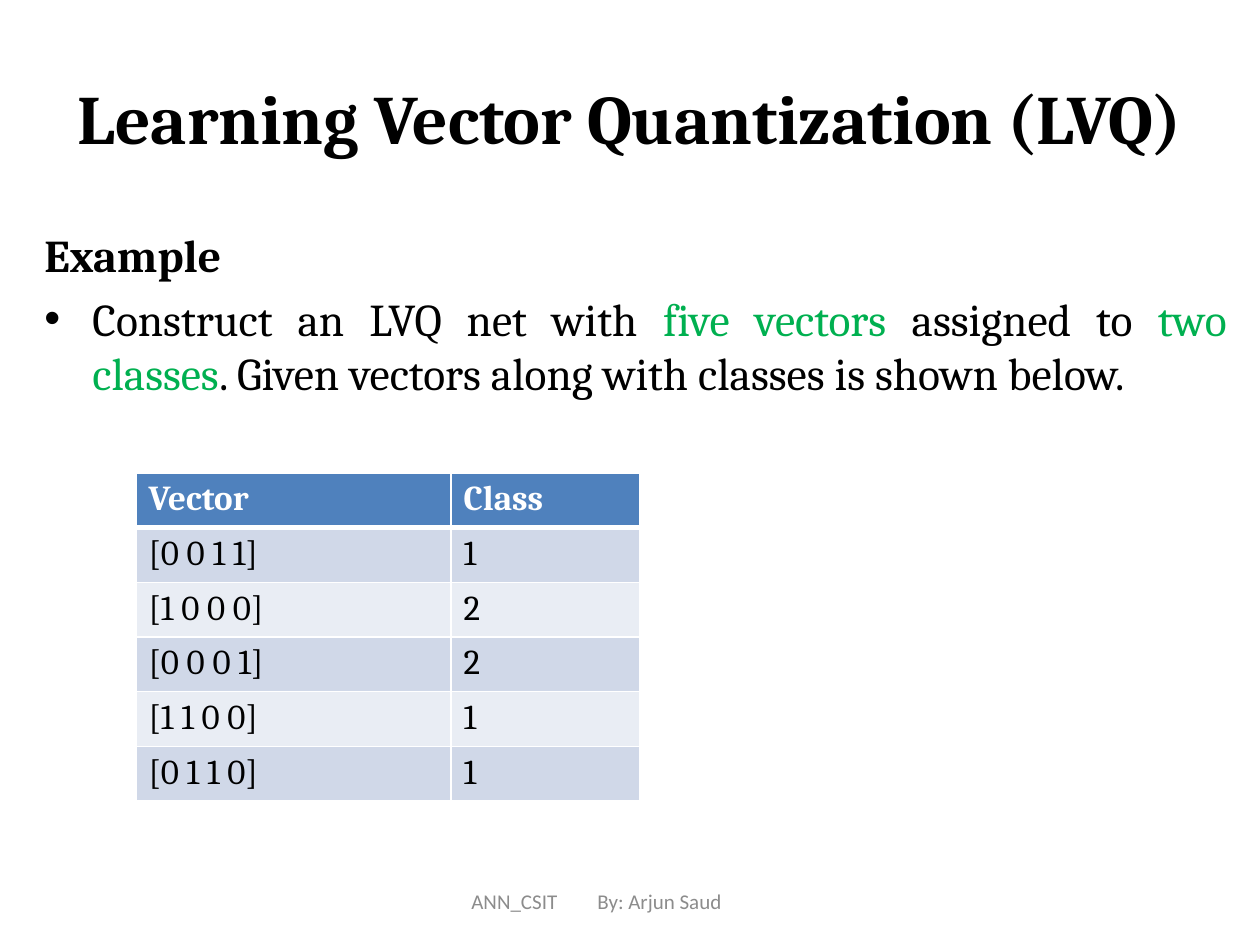
from lxml import etree
from pptx import Presentation
from pptx import util as u
from pptx.dml.color import RGBColor
from pptx.enum import text
from pptx.oxml.ns import qn

PX = 914400 // 126
BLACK = RGBColor(0x00, 0x00, 0x00)
WHITE = RGBColor(0xFF, 0xFF, 0xFF)
GREEN = RGBColor(0x00, 0xB0, 0x50)
GRAY = RGBColor(0x8C, 0x8C, 0x8C)
HEADER = RGBColor(0x4F, 0x81, 0xBD)
BANDS = (RGBColor(0xD0, 0xD8, 0xE8), RGBColor(0xE9, 0xED, 0xF4))

VECTORS = [("[0 0 1 1]", "1"), ("[1 0 0 0]", "2"), ("[0 0 0 1]", "2"),
           ("[1 1 0 0]", "1"), ("[0 1 1 0]", "1")]


def px(n):
    return u.Emu(n * PX)


def add_run(p, words, size, color=BLACK, bold=False, font="Cambria"):
    r = p.add_run()
    r.text = words
    r.font.name = font
    r.font.size = u.Pt(size)
    r.font.bold = bold
    r.font.color.rgb = color


def add_box(s, x, y, w, h, anchor=text.MSO_ANCHOR.TOP):
    tf = s.shapes.add_textbox(px(x), px(y), px(w), px(h)).text_frame
    tf.word_wrap = True
    tf.vertical_anchor = anchor
    return tf


def set_indent(p, margin, indent):
    pPr = p._p.get_or_add_pPr()
    pPr.set("marL", str(px(margin)))
    pPr.set("indent", str(px(indent)))
    return pPr


def add_bullet(p):
    pPr = set_indent(p, 48, -48)
    etree.SubElement(pPr, qn("a:buFont"), typeface="Arial")
    etree.SubElement(pPr, qn("a:buChar"), char="•")


def add_tab(p, position):
    tabs = etree.SubElement(p._p.get_or_add_pPr(), qn("a:tabLst"))
    etree.SubElement(tabs, qn("a:tab"), pos=str(px(position)), algn="l")


def set_borders(cell, bottom):
    tcPr = cell._tc.get_or_add_tcPr()
    for side, width in (("L", 1), ("R", 1), ("T", 1), ("B", bottom)):
        ln = etree.SubElement(tcPr, qn("a:ln" + side), w=str(u.Pt(width)))
        fill = etree.SubElement(ln, qn("a:solidFill"))
        etree.SubElement(fill, qn("a:srgbClr"), val=str(WHITE))


def fill_cell(cell, words, fill, color=BLACK, bold=False, bottom=1):
    set_borders(cell, bottom)
    cell.fill.solid()
    cell.fill.fore_color.rgb = fill
    add_run(cell.text_frame.paragraphs[0], words, 20, color, bold)


def add_vector_table(s, x, y, widths, row_height):
    rows = len(VECTORS) + 1
    table = s.shapes.add_table(rows, len(widths), px(x), px(y),
                               px(sum(widths)), px(row_height * rows)).table
    for column, width in zip(table.columns, widths):
        column.width = px(width)
    for row in table.rows:
        row.height = px(row_height)
    for j, words in enumerate(("Vector", "Class")):
        fill_cell(table.cell(0, j), words, HEADER, WHITE, True, bottom=3)
    for i, row in enumerate(VECTORS):
        for j, words in enumerate(row):
            fill_cell(table.cell(i + 1, j), words, BANDS[i % 2])


def add_title(s):
    p = add_box(s, 63, 38, 1134, 157, text.MSO_ANCHOR.MIDDLE).paragraphs[0]
    p.alignment = text.PP_ALIGN.CENTER
    add_run(p, "Learning Vector Quantization (LVQ)", 39.6, bold=True)


def add_body(s):
    tf = add_box(s, 32, 221, 1207, 624)
    p = tf.paragraphs[0]
    p.alignment = text.PP_ALIGN.JUSTIFY
    add_run(p, "Example", 26, bold=True)

    p = tf.add_paragraph()
    add_bullet(p)
    p.alignment = text.PP_ALIGN.JUSTIFY
    p.space_before = u.Pt(5.2)
    for words, color in (("Construct an LVQ net with ", BLACK),
                         ("five vectors ", GREEN),
                         ("assigned to ", BLACK),
                         ("two classes", GREEN),
                         (". Given vectors along with classes is shown below.", BLACK)):
        add_run(p, words, 26, color)


def add_footer(s):
    p = add_box(s, 431, 876, 399, 50, text.MSO_ANCHOR.MIDDLE).paragraphs[0]
    set_indent(p, 28, 0)
    add_tab(p, 218)
    add_run(p, "ANN_CSIT\tBy: Arjun Saud", 12, GRAY, font="Calibri")


def main():
    prs = Presentation()
    prs.slide_width, prs.slide_height = px(1260), px(945)
    s = prs.slides.add_slide(prs.slide_layouts[6])
    add_title(s)
    add_body(s)
    add_vector_table(s, 136, 473, (315, 189), 53)
    add_footer(s)
    prs.save("out.pptx")


if __name__ == "__main__":
    main()
